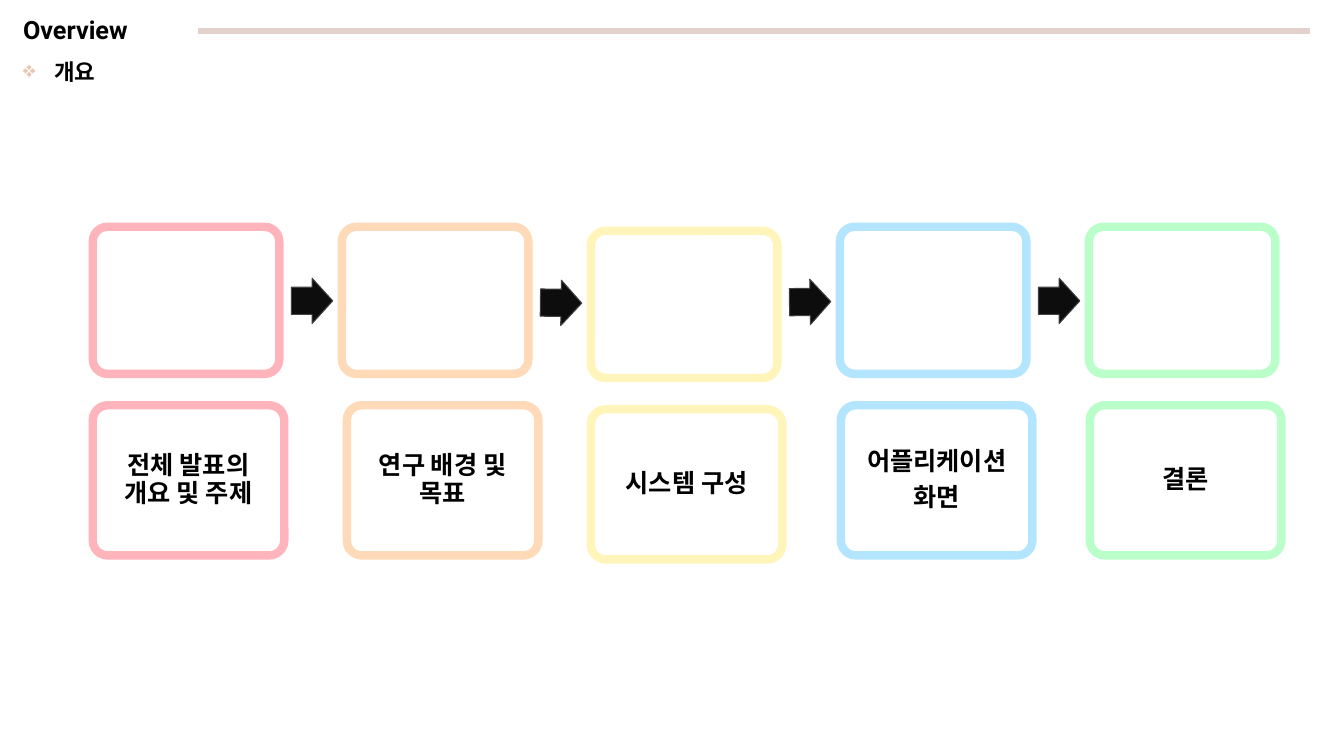
from lxml.etree import SubElement
from pptx import Presentation
from pptx.dml.color import RGBColor
from pptx.enum.shapes import MSO_CONNECTOR as Connector, MSO_SHAPE as Preset
from pptx.enum.text import MSO_ANCHOR as Anchor, MSO_AUTO_SIZE as AutoSize, PP_ALIGN as Align
from pptx.oxml.ns import qn
from pptx.util import Inches, Pt

FONT = "Roboto"
BLACK = RGBColor(0x00, 0x00, 0x00)
WHITE = RGBColor(0xFF, 0xFF, 0xFF)
RULE = RGBColor(0xE3, 0xD2, 0xCB)
BULLET = RGBColor(0xEA, 0xC5, 0xB0)
ARROW_FILL = RGBColor(0x0D, 0x0D, 0x0D)
ARROW_LINE = RGBColor(0x40, 0x40, 0x40)
PINK = RGBColor(0xFF, 0xB3, 0xBA)
PEACH = RGBColor(0xFF, 0xDA, 0xB9)
YELLOW = RGBColor(0xFF, 0xF5, 0xBA)
BLUE = RGBColor(0xB3, 0xE5, 0xFF)
GREEN = RGBColor(0xBA, 0xFF, 0xC9)

FIRST_LEFT, PITCH = 0.92, 2.47
STEPS = [
    (PINK, ["전체 발표의 개요 및 주제"], 0, 0),
    (PEACH, ["연구 배경 및 목표"], 0.05, 0),
    (YELLOW, ["시스템 구성"], 0, 0.04),
    (BLUE, ["어플리케이션", "화면"], 0.01, 0),
    (GREEN, ["결론"], 0.01, 0),
]
ARROWS = [(2.76, 0), (2.78, 0.9), (2.77, -0.9), (2.76, 0)]


def style_font(paragraph, size):
    """Set the bold black font of a paragraph."""
    font = paragraph.font
    font.name, font.size, font.bold = FONT, Pt(size), True
    font.color.rgb = BLACK


def add_bullet(paragraph, symbol, color):
    """Give a paragraph a coloured bullet with a hanging indent."""
    properties = paragraph._p.get_or_add_pPr()
    properties.set("marL", str(Inches(0.31)))
    properties.set("indent", str(-Inches(0.31)))
    bullet_color = SubElement(properties, qn("a:buClr"))
    SubElement(bullet_color, qn("a:srgbClr"), val=str(color))
    SubElement(properties, qn("a:buChar"), char=symbol)


def add_heading(slide, text, top, width, height, size, bullet=None):
    """Add a heading line at the left margin."""
    box = slide.shapes.add_textbox(Inches(0.13), Inches(top), Inches(width), Inches(height))
    frame = box.text_frame
    frame.word_wrap = True
    frame.auto_size = AutoSize.SHAPE_TO_FIT_TEXT
    paragraph = frame.paragraphs[0]
    paragraph.text = text
    if bullet:
        add_bullet(paragraph, bullet, BULLET)
    style_font(paragraph, size)


def add_rule(slide):
    """Add the rule beside the title."""
    rule = slide.shapes.add_connector(
        Connector.STRAIGHT, Inches(1.96), Inches(0.31), Inches(12.99), Inches(0.31))
    rule.line.color.rgb = RULE
    rule.line.width = Pt(4.5)
    SubElement(rule._element.spPr, qn("a:effectLst"))


def add_outlined(slide, preset, left, top, width, height, fill, line, line_width):
    """Add a flat preset shape with a fill and an outline."""
    shape = slide.shapes.add_shape(
        preset, Inches(left), Inches(top), Inches(width), Inches(height))
    shape.shadow.inherit = False
    shape.fill.solid()
    shape.fill.fore_color.rgb = fill
    shape.line.color.rgb = line
    shape.line.width = Pt(line_width)
    return shape


def add_card(slide, left, top, width, height, color):
    """Add a white rounded card with a coloured border."""
    card = add_outlined(
        slide, Preset.ROUNDED_RECTANGLE, left, top, width, height, WHITE, color, 6)
    card.adjustments[0] = 0.1
    return card


def add_arrow(slide, left, top, rotation):
    """Add a block arrow between two cards."""
    arrow = add_outlined(
        slide, Preset.RIGHT_ARROW, left, top, 0.41, 0.45, ARROW_FILL, ARROW_LINE, 0.75)
    arrow.adjustments[0] = 0.6
    arrow.rotation = rotation


def write_label(card, lines):
    """Write centred paragraphs inside a card."""
    frame = card.text_frame
    frame.word_wrap = True
    frame.vertical_anchor = Anchor.MIDDLE
    frame.margin_left = frame.margin_right = Inches(0.08)
    frame.margin_top = frame.margin_bottom = Inches(0.08)
    frame.text = "\n".join(lines)
    for paragraph in frame.paragraphs:
        paragraph.alignment = Align.CENTER
        paragraph.line_spacing = 0.9
        paragraph.space_after = Pt(6.3)
        style_font(paragraph, 18)


def main():
    """Build the overview slide."""
    presentation = Presentation()
    presentation.slide_width = Inches(13.33)
    presentation.slide_height = Inches(7.5)
    slide = presentation.slides.add_slide(presentation.slide_layouts[6])

    add_heading(slide, "Overview", 0.09, 1.71, 0.4, 18)
    add_rule(slide)
    add_heading(slide, "개요", 0.53, 4.93, 0.37, 16, bullet="❖")

    for index, (color, lines, shift, drop) in enumerate(STEPS):
        left = FIRST_LEFT + index * PITCH
        add_card(slide, left, 2.25 + drop, 1.85, 1.46, color)
        label_card = add_card(slide, left + shift, 4.02 + drop, 1.9, 1.49, color)
        write_label(label_card, lines)
    for index, (top, rotation) in enumerate(ARROWS):
        add_arrow(slide, FIRST_LEFT + 1.97 + index * PITCH, top, rotation)

    presentation.save("out.pptx")


if __name__ == "__main__":
    main()
